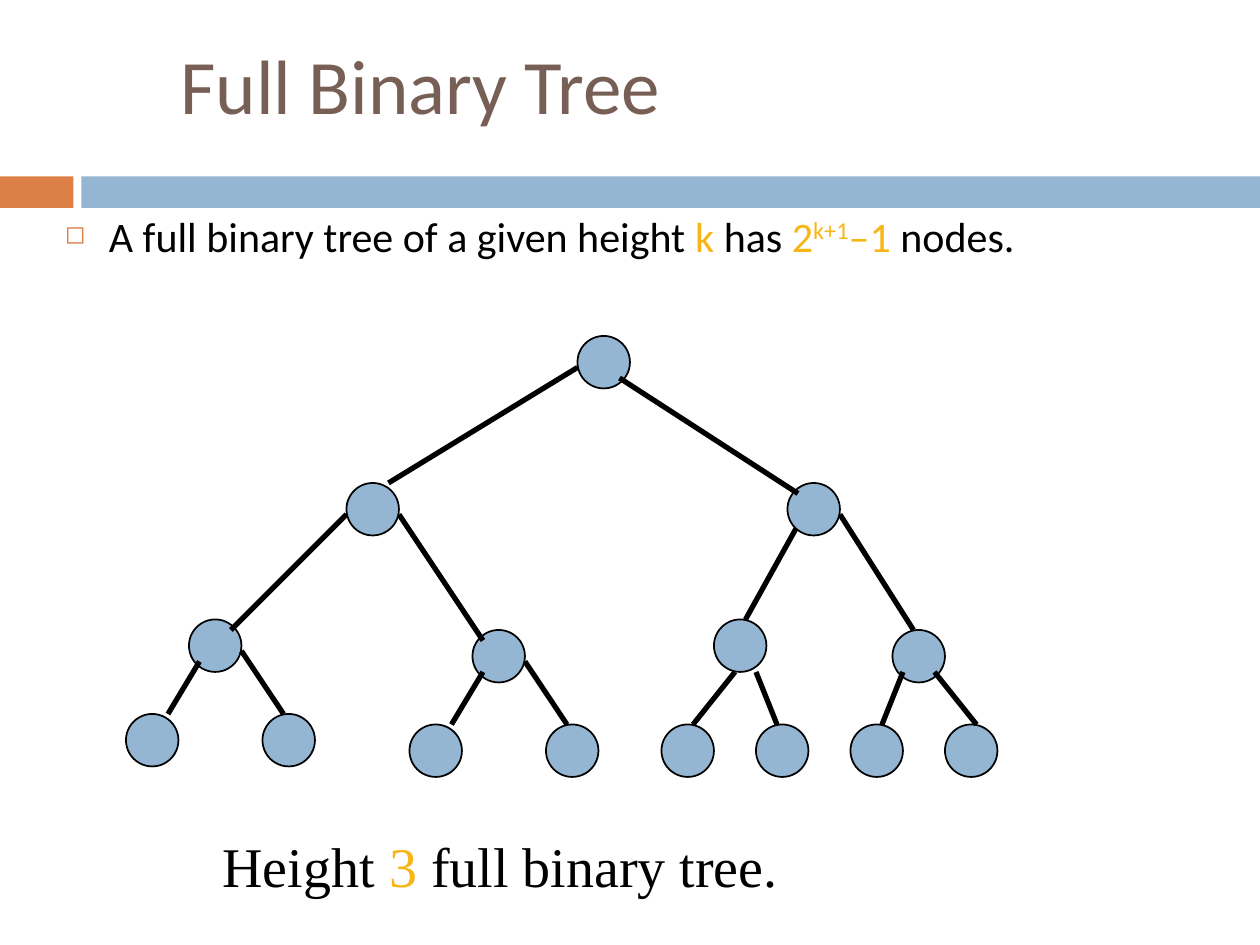
import pptx
import pptx.dml.color
import pptx.enum.shapes
import pptx.enum.text
import pptx.oxml
import pptx.oxml.ns
import pptx.util
import lxml.etree

Pt = pptx.util.Pt
BLACK, BLUE, ORANGE, GOLD, BROWN = "000000", "94B6D2", "DD8047", "F7B615", "775F55"
NODE_SIZE = 30

INNER_NODES = [(108, 354), (270, 360), (408, 354), (510, 360)]
INNER_EDGES = [
    (456, 300, 426, 354), (480, 294, 522, 360),
    (198, 294, 132, 360), (228, 294, 276, 366),
]
TOP_NODES = [(330, 192), (450, 276), (198, 276)]
TOP_EDGES = [(330, 210, 222, 276), (354, 216, 456, 282)]
LEAF_NODES = [(72, 408), (150, 408), (234, 414), (312, 414)]
LEAF_NODES += [(378 + 54 * i, 414) for i in range(4)]
LEAF_EDGES = [
    (114, 378, 96, 408), (138, 372, 162, 408),
    (276, 384, 258, 414), (300, 378, 324, 414),
    (420, 384, 396, 414), (432, 384, 444, 414),
    (516, 384, 504, 414), (534, 384, 558, 414),
]


def color(value):
    return pptx.dml.color.RGBColor.from_string(value)


def add_box(page, left, top, width, height, anchor="TOP", inset_top=3.6):
    box = page.shapes.add_textbox(Pt(left), Pt(top), Pt(width), Pt(height))
    frame = box.text_frame
    frame.word_wrap = True
    frame.margin_top = Pt(inset_top)
    frame.vertical_anchor = getattr(pptx.enum.text.MSO_ANCHOR, anchor)
    return frame.paragraphs[0]


def add_text(para, text, size=24, font="Calibri", fill=BLACK, baseline=0):
    span = para.add_run()
    span.text = text
    span.font.size = Pt(size)
    span.font.name = font
    span.font.color.rgb = color(fill)
    if baseline:
        span._r.get_or_add_rPr().set("baseline", str(baseline * 1000))


def add_bullet(para, symbol, fill, percent, indent):
    properties = para._p.get_or_add_pPr()
    properties.set("marL", str(Pt(indent)))
    properties.set("indent", str(-Pt(indent)))
    qn = pptx.oxml.ns.qn
    bullet_color = lxml.etree.SubElement(properties, qn("a:buClr"))
    lxml.etree.SubElement(bullet_color, qn("a:srgbClr"), val=fill)
    lxml.etree.SubElement(properties, qn("a:buSzPct"), val=str(percent * 1000))
    lxml.etree.SubElement(properties, qn("a:buChar"), char=symbol)


def add_shape(page, kind, left, top, width, height, fill, outline=None):
    preset = getattr(pptx.enum.shapes.MSO_SHAPE, kind)
    shape = page.shapes.add_shape(preset, Pt(left), Pt(top), Pt(width), Pt(height))
    shape.shadow.inherit = False
    shape.fill.solid()
    shape.fill.fore_color.rgb = color(fill)
    if outline:
        shape.line.color.rgb = color(outline)
        shape.line.width = Pt(1)
    else:
        shape.line.fill.background()


def add_edge(page, *ends):
    straight = pptx.enum.shapes.MSO_CONNECTOR.STRAIGHT
    edge = page.shapes.add_connector(straight, *map(Pt, ends))
    edge.line.color.rgb = color(BLACK)
    edge.line.width = Pt(3)
    lxml.etree.SubElement(edge._element.spPr, pptx.oxml.ns.qn("a:effectLst"))


def add_level(page, nodes, edges):
    for left, top in nodes:
        add_shape(page, "OVAL", left, top, NODE_SIZE, NODE_SIZE, BLUE, BLACK)
    for ends in edges:
        add_edge(page, *ends)


def main():
    deck = pptx.Presentation()
    deck.slide_width, deck.slide_height = Pt(720), Pt(540)
    page = deck.slides.add_slide(deck.slide_layouts[6])

    add_shape(page, "RECTANGLE", 0, 100.8, 42, 18, ORANGE)
    add_shape(page, "RECTANGLE", 46.5, 100.8, 673.5, 18, BLUE)

    title = add_box(page, 96, 18, 654 - 42, 60, anchor="MIDDLE")
    add_text(title, "Full Binary Tree", size=44, fill=BROWN)

    statement = add_box(page, 30, 120, 654, 78)
    add_bullet(statement, "◻", ORANGE, 60, 25.2)
    statement.line_spacing = 0.9
    add_text(statement, "A full binary tree of a given height ")
    add_text(statement, "k", fill=GOLD)
    add_text(statement, " has ")
    add_text(statement, "2", fill=GOLD)
    add_text(statement, "k+1", fill=GOLD, baseline=30)
    add_text(statement, "–1 ", fill=GOLD)
    add_text(statement, "nodes.")

    add_level(page, INNER_NODES, INNER_EDGES)
    add_level(page, TOP_NODES, TOP_EDGES)
    add_level(page, LEAF_NODES, LEAF_EDGES)

    caption = add_box(page, 120, 468, 516, 45, inset_top=7)
    for text, fill in (("Height ", BLACK), ("3", GOLD), (" full binary tree.", BLACK)):
        add_text(caption, text, size=32, font="Times New Roman", fill=fill)

    deck.save("out.pptx")


if __name__ == "__main__":
    main()
